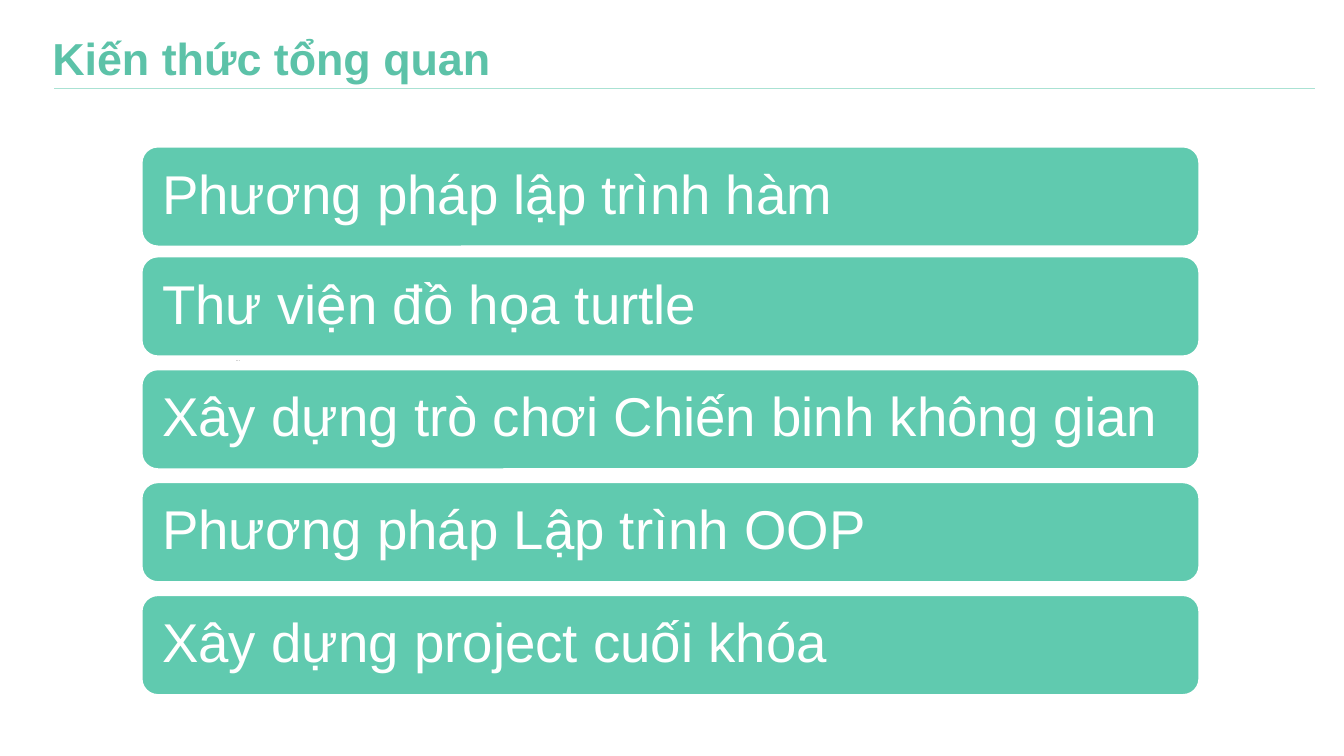
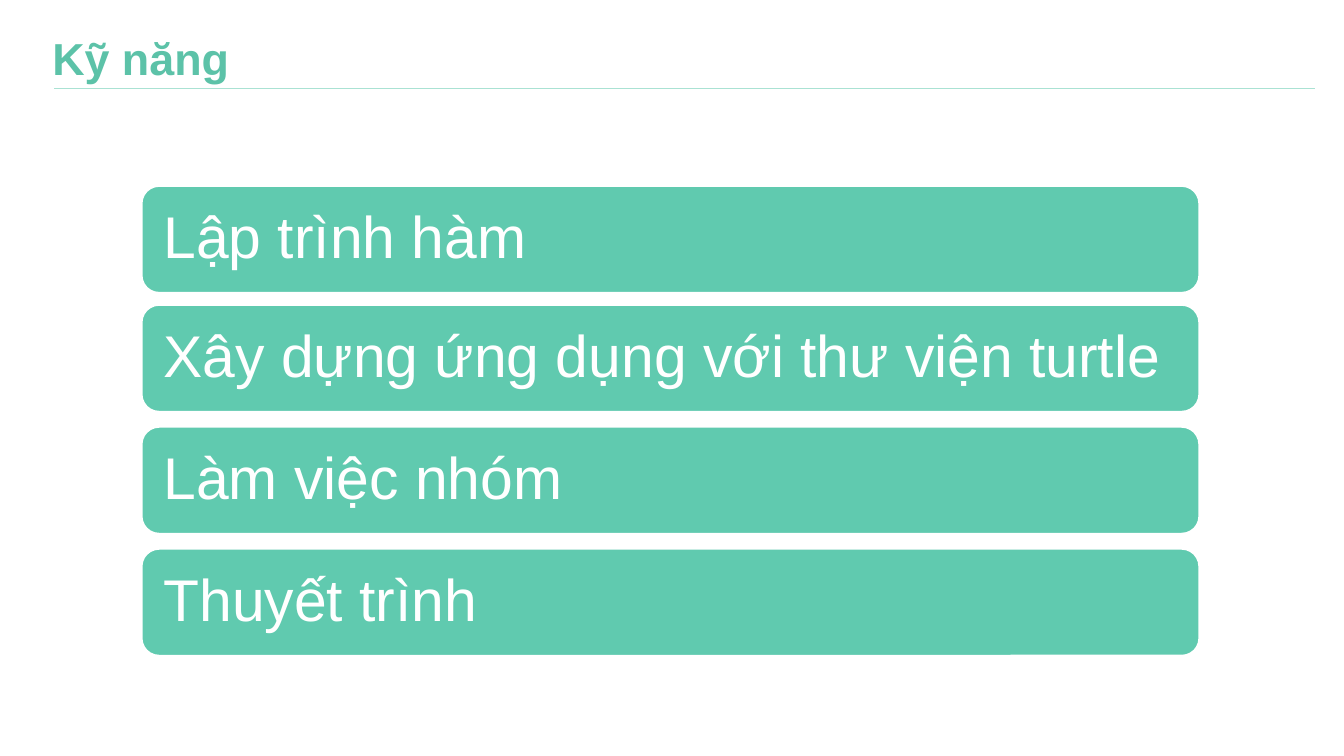
from dataclasses import dataclass

import pptx
import pptx.dml.color
import pptx.enum.shapes
import pptx.enum.text
import pptx.oxml.ns
import pptx.presentation
import pptx.shapes.base
import pptx.slide
import pptx.util
from lxml import etree

EMU_PER_PX = 9144  # 100 px to the inch
FONT = "Arial"
WHITE = "FFFFFF"
BLACK = "000000"
TITLE_GREEN = "5CC2A8"
BAR_GREEN = "60CAAF"
RULE_GREEN = "AAE2D3"

BAR_LEFT, BAR_WIDTH = 140, 1050
FIRST_GAP_CUT = 3  # the first gap is a little narrower than the others

Align = pptx.enum.text.PP_ALIGN
Anchor = pptx.enum.text.MSO_ANCHOR


@dataclass(frozen=True)
class BarList:
    title: str
    topics: tuple[str, ...]
    top: int
    height: int
    pitch: int
    margin: int
    size: int


KNOWLEDGE = BarList(
    "Kiến thức tổng quan",
    (
        "Phương pháp lập trình hàm",
        "Thư viện đồ họa turtle",
        "Xây dựng trò chơi Chiến binh không gian",
        "Phương pháp Lập trình OOP",
        "Xây dựng project cuối khóa",
    ),
    top=145, height=100, pitch=112, margin=16, size=39,
)
SKILLS = BarList(
    "Kỹ năng",
    (
        "Lập trình hàm",
        "Xây dựng ứng dụng với thư viện turtle",
        "Làm việc nhóm",
        "Thuyết trình",
    ),
    top=184, height=107, pitch=121, margin=17, size=42,
)


def px(length: int) -> pptx.util.Emu:
    return pptx.util.Emu(length * EMU_PER_PX)


def color(hex_code: str) -> pptx.dml.color.RGBColor:
    return pptx.dml.color.RGBColor.from_string(hex_code)


def write(
    holder: pptx.shapes.base.BaseShape,
    text: str,
    *,
    size: int,
    ink: str,
    bold: bool = False,
    align: Align = Align.LEFT,
    anchor: Anchor = Anchor.TOP,
    margins: tuple[int, int] = (10, 5),
    spacing: float = 1.0,
    wrap: bool = True,
) -> None:
    """Fill a shape with one paragraph; margins are (sides, top and bottom)."""
    frame = holder.text_frame
    frame.word_wrap = wrap
    frame.vertical_anchor = anchor
    frame.margin_left = frame.margin_right = px(margins[0])
    frame.margin_top = frame.margin_bottom = px(margins[1])
    paragraph = frame.paragraphs[0]
    paragraph.alignment = align
    paragraph.line_spacing = spacing
    run = paragraph.add_run()
    run.text = text
    run.font.name = FONT
    run.font.size = pptx.util.Pt(size)
    run.font.bold = bold
    run.font.color.rgb = color(ink)


def add_header(slide: pptx.slide.Slide, title: str) -> None:
    rule = slide.shapes.add_connector(
        pptx.enum.shapes.MSO_CONNECTOR.STRAIGHT, px(1304), px(88), px(54), px(88)
    )
    rule.line.color.rgb = color(RULE_GREEN)
    rule.line.width = pptx.util.Pt(0.75)
    etree.SubElement(rule.element.spPr, pptx.oxml.ns.qn("a:effectLst"))

    heading = slide.shapes.add_textbox(px(42), px(26), px(1079), px(52))
    write(heading, title, size=32, ink=TITLE_GREEN, bold=True, align=Align.JUSTIFY)


def add_bars(slide: pptx.slide.Slide, bars: BarList) -> None:
    for index, topic in enumerate(bars.topics):
        top = bars.top + index * bars.pitch - (FIRST_GAP_CUT if index else 0)
        bar = slide.shapes.add_shape(
            pptx.enum.shapes.MSO_SHAPE.ROUNDED_RECTANGLE,
            px(BAR_LEFT), px(top), px(BAR_WIDTH), px(bars.height),
        )
        bar.shadow.inherit = False
        bar.fill.solid()
        bar.fill.fore_color.rgb = color(BAR_GREEN)
        bar.line.color.rgb = color(WHITE)
        bar.line.width = pptx.util.Pt(2)
        write(
            bar, topic, size=bars.size, ink=WHITE, anchor=Anchor.MIDDLE,
            margins=(bars.margin, bars.margin), spacing=0.9,
        )


def add_bar_slide(deck: pptx.presentation.Presentation, bars: BarList) -> pptx.slide.Slide:
    slide = deck.slides.add_slide(deck.slide_layouts[6])
    add_header(slide, bars.title)
    add_bars(slide, bars)
    return slide


def main() -> None:
    deck = pptx.Presentation()
    deck.slide_width, deck.slide_height = px(1333), px(750)

    knowledge = add_bar_slide(deck, KNOWLEDGE)
    ellipsis = knowledge.shapes.add_textbox(px(224), px(350), px(24), px(15))
    write(ellipsis, "…", size=3, ink=BLACK, wrap=False)

    add_bar_slide(deck, SKILLS)
    deck.save("out.pptx")


if __name__ == "__main__":
    main()
